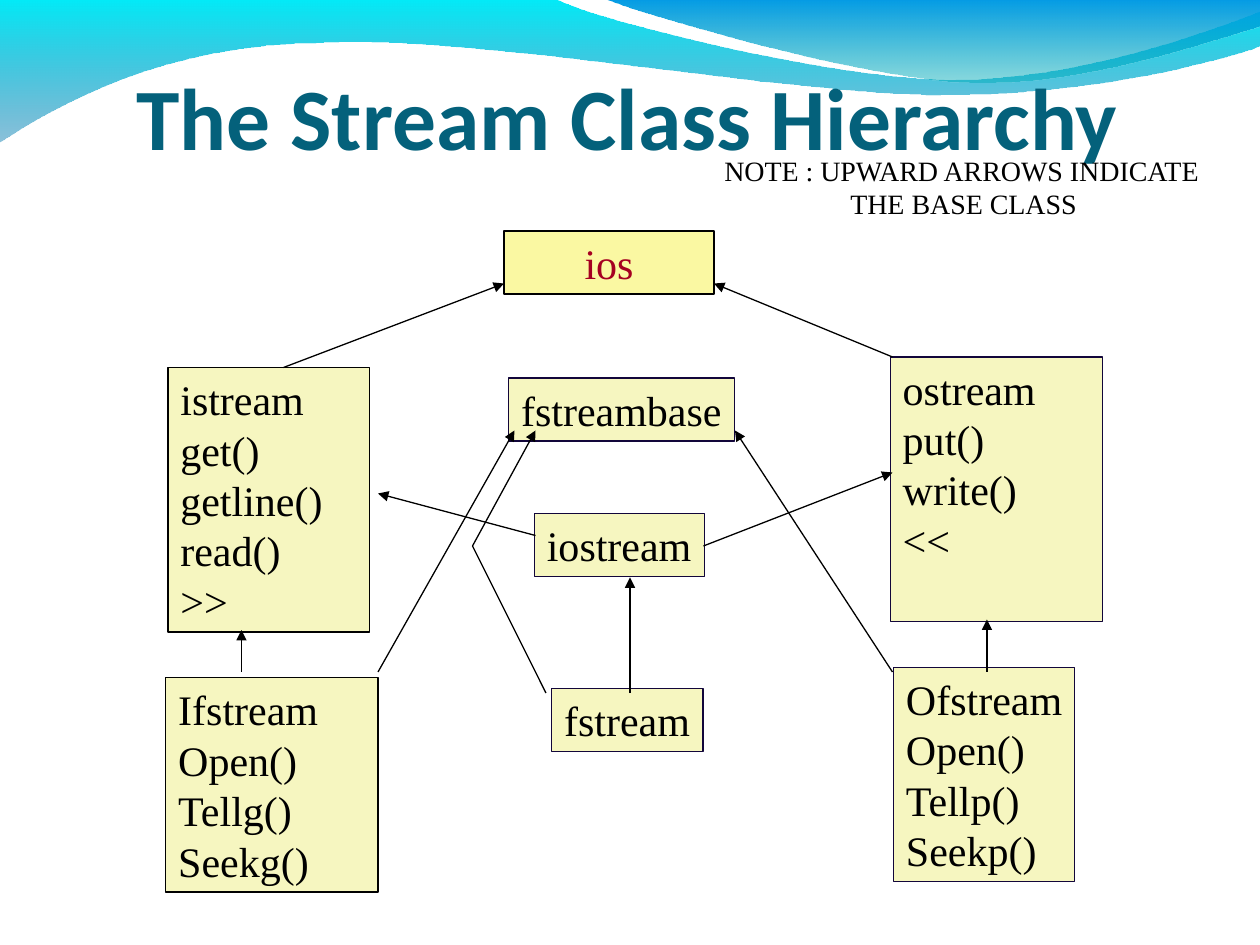
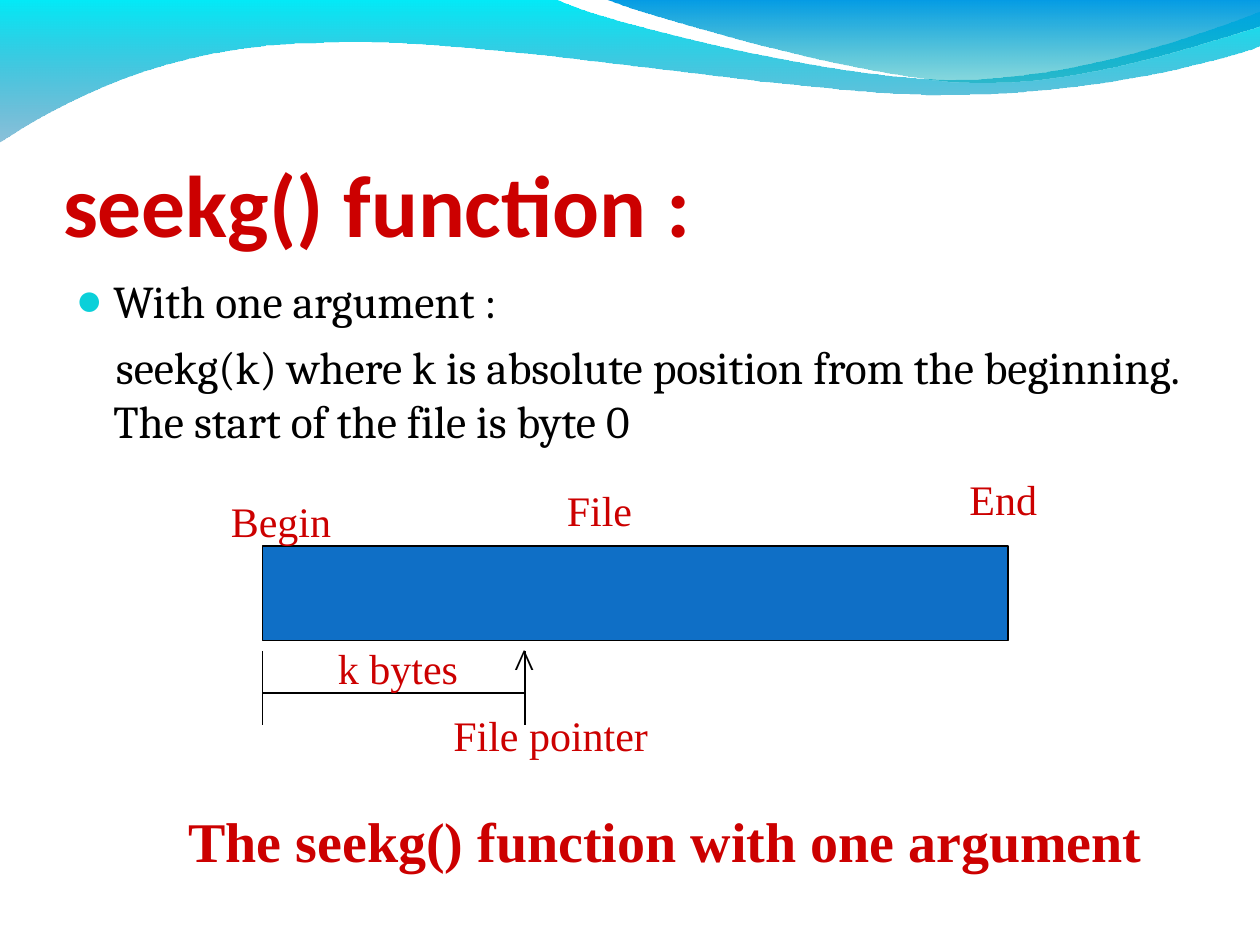
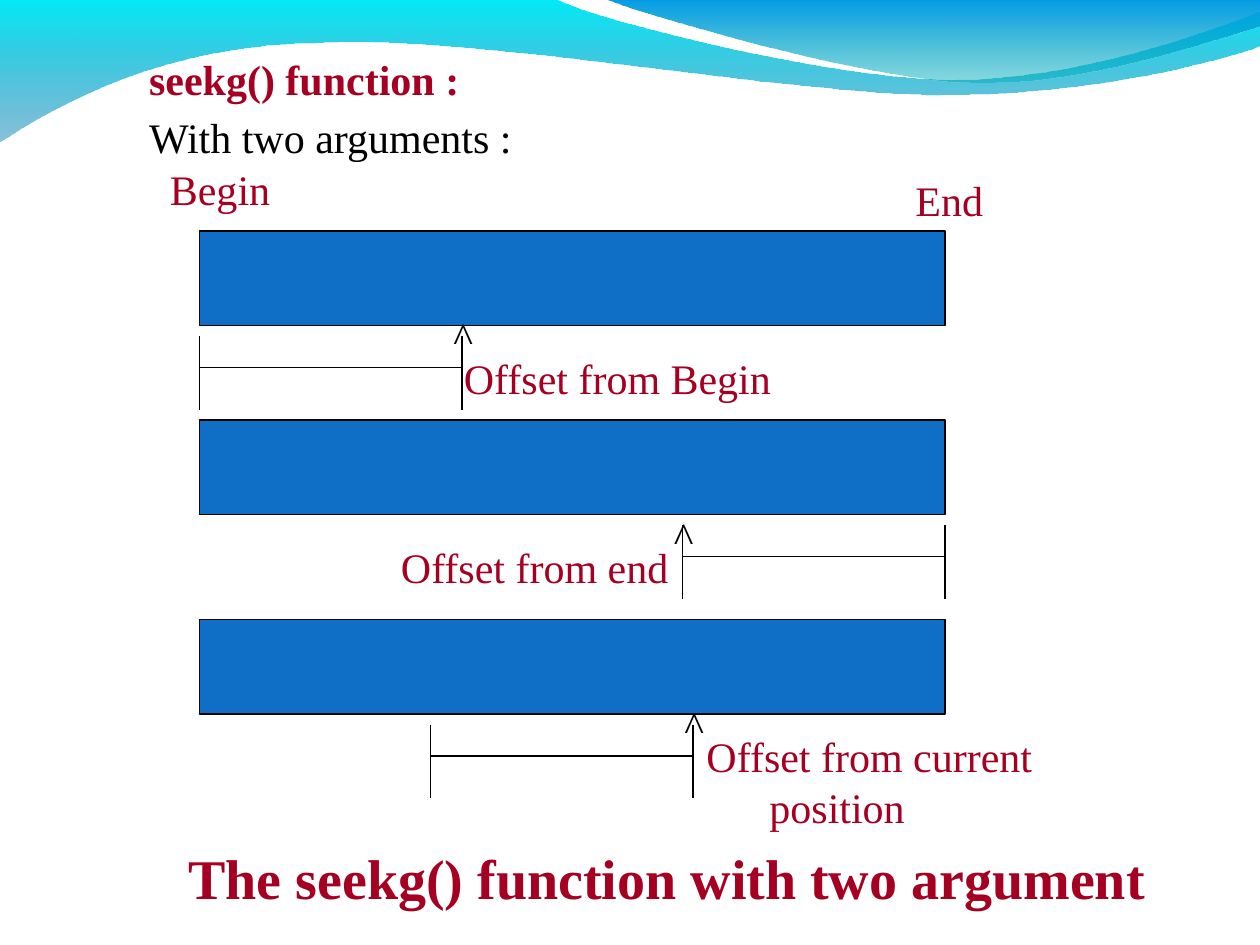
from dataclasses import dataclass, replace
from typing import NamedTuple, Optional, Sequence

from lxml.etree import SubElement
from pptx import Presentation
from pptx.dml.color import RGBColor
from pptx.enum.shapes import MSO_CONNECTOR as Link, MSO_SHAPE as Preset
from pptx.enum.text import MSO_ANCHOR as Anchor, MSO_AUTO_SIZE as AutoSize, PP_ALIGN as Align
from pptx.oxml.ns import qn
from pptx.util import Emu, Inches, Pt

# The slide is a grid of 120 columns by 90 rows of square cells
WIDTH, HEIGHT = Inches(10), Inches(7.5)
CELL = WIDTH / 120
INSET = Inches(0.1)


def cells(count: float) -> Emu:
    return Emu(round(count * CELL))


# Shared look
@dataclass(frozen=True)
class Style:
    size: float = 24
    color: str = "000000"
    bold: bool = False
    font: str = "Times New Roman"


@dataclass(frozen=True)
class Theme:
    ink: str = "000000"
    edge: str = "12063A"
    root_fill: str = "FAF8A2"
    class_fill: str = "F6F6C0"
    file_fill: str = "0F6FC6"
    bullet: str = "0BD0D9"
    red: str = "CC0000"
    crimson: str = "A50021"
    line_width: float = 0.75
    text: Style = Style()
    note: Style = Style(16)
    title: Style = Style(50, "04617B", True, "Calibri")
    body: Style = Style(26, font="Cambria")
    caption: Style = Style(32, bold=True)


THEME = Theme()


class Area(NamedTuple):
    left: float
    top: float
    width: float
    height: float

    def lengths(self) -> list[Emu]:
        return [cells(value) for value in self]


class Line(NamedTuple):
    text: str
    margin: float = 0
    indent: float = 0
    before: float = 0
    bullet: Optional[str] = None


class ClassBox(NamedTuple):
    left: float
    top: float
    width: float
    members: Sequence[str]
    edge: str = THEME.edge
    rows: int = 0


class Arrow(NamedTuple):
    x1: float
    y1: float
    x2: float
    y2: float
    head: bool = True


class Label(NamedTuple):
    left: float
    top: float
    width: float
    lines: Sequence[Line]


class Measure(NamedTuple):
    left: float
    top: float
    rule: float
    caret_left: float
    caret_top: float


class Wave(NamedTuple):
    """Points in thousandths of the slide width; three points make a curve."""
    start: tuple
    steps: tuple
    top_color: str
    low_color: str


WAVES = (
    Wave((0, -1), (
        ((440, -1),),
        ((476, 17), (664, 63), (758, 63)),
        ((853, 63), (958, 26), (1000, 9)),
        ((1001, 36),),
        ((983, 44), (870, 76), (746, 75)),
        ((622, 75), (382, 28), (257, 34)),
        ((129, 35), (46, 83), (-1, 113)),
    ), "00EBF8", "0079AF"),
    Wave((479, -1), (
        ((509, 11), (682, 62), (769, 65)),
        ((856, 69), (961, 32), (1000, 21)),
        ((1000, 0),),
    ), "009BE5", "00ADB6"),
)


# Text
def write(frame, lines: Sequence[Line], style: Style, align=Align.LEFT) -> None:
    for number, line in enumerate(lines):
        para = frame.paragraphs[0] if number == 0 else frame.add_paragraph()
        props = para._p.get_or_add_pPr()
        props.set("marL", str(Inches(line.margin)))
        props.set("indent", str(Inches(line.indent)))
        if line.bullet:
            SubElement(SubElement(props, qn("a:buClr")), qn("a:srgbClr"), val=THEME.bullet)
            SubElement(props, qn("a:buChar"), char=line.bullet)
        else:
            SubElement(props, qn("a:buNone"))
        para.alignment = align
        para.space_before = Pt(line.before)
        span = para.add_run()
        span.text = line.text
        span.font.name = style.font
        span.font.size = Pt(style.size)
        span.font.bold = style.bold
        span.font.color.rgb = RGBColor.from_string(style.color)


def set_frame(frame, anchor=Anchor.TOP, left=INSET, right=INSET, bottom=INSET // 2) -> None:
    frame.word_wrap = True
    frame.auto_size = AutoSize.NONE
    frame.vertical_anchor = anchor
    frame.margin_left, frame.margin_right = left, right
    frame.margin_top, frame.margin_bottom = INSET // 2, bottom


def fill_placeholder(box, area: Area, lines: Sequence[Line], style: Style,
                     anchor=Anchor.TOP) -> None:
    box.left, box.top, box.width, box.height = area.lengths()
    if anchor == Anchor.BOTTOM:
        set_frame(box.text_frame, anchor, 0, 0, 0)
    else:
        set_frame(box.text_frame, anchor)
    write(box.text_frame, lines, style)


def add_label(page, label: Label, style: Style) -> None:
    height = len(label.lines) * style.size / 5 + 1.2
    box = page.shapes.add_textbox(*Area(*label[:3], height).lengths())
    set_frame(box.text_frame, right=0)
    write(box.text_frame, label.lines, style)


# Shapes
def add_rectangle(page, area: Area, fill: str, edge: str = THEME.ink):
    box = page.shapes.add_shape(Preset.RECTANGLE, *area.lengths())
    box.shadow.inherit = False
    box.fill.solid()
    box.fill.fore_color.rgb = RGBColor.from_string(fill)
    box.line.color.rgb = RGBColor.from_string(edge)
    box.line.width = Pt(THEME.line_width)
    return box


def add_class_box(page, item: ClassBox) -> None:
    rows = item.rows or len(item.members)
    area = Area(item.left, item.top, item.width, 4.8 * rows + 1.2)
    box = add_rectangle(page, area, THEME.class_fill, item.edge)
    set_frame(box.text_frame, right=0)
    write(box.text_frame, [Line(member) for member in item.members], THEME.text)


def add_line(page, arrow: Arrow) -> None:
    ends = [cells(value) for value in arrow[:4]]
    link = page.shapes.add_connector(Link.STRAIGHT, *ends)
    link.line.color.rgb = RGBColor.from_string(THEME.ink)
    link.line.width = Pt(THEME.line_width)
    props = link._element.spPr
    if arrow.head:
        SubElement(props.find(qn("a:ln")), qn("a:tailEnd"), type="triangle")
    SubElement(props, qn("a:effectLst"))


def add_file_bar(page, left: float, top: float) -> None:
    add_rectangle(page, Area(left, top, 71, 9), THEME.file_fill)


def add_measure(page, item: Measure) -> None:
    right = item.left + 25
    add_line(page, Arrow(item.left, item.rule, right, item.rule, False))
    for tick in (item.left, right):
        add_line(page, Arrow(tick, item.top, tick, item.top + 7, False))
    add_label(page, Label(item.caret_left, item.caret_top, 4.2, [Line("^")]), THEME.text)


# Waves on the slide master
def bend(shape, steps: Sequence) -> None:
    """Turn each run of three segments that belongs to a curve into a Bezier."""
    segments = iter(list(shape._element.iter(qn("a:lnTo"))))
    for step in steps:
        first, *others = [next(segments) for _ in step]
        for other in others:
            first.append(other[0])
            other.getparent().remove(other)
        if others:
            first.tag = qn("a:cubicBezTo")


def add_waves(deck, page) -> None:
    for index, wave in enumerate(WAVES):
        builder = page.shapes.build_freeform(*wave.start, scale=WIDTH / 1000)
        builder.add_line_segments([point for step in wave.steps for point in step], close=True)
        shape = builder.convert_to_shape()
        bend(shape, wave.steps)
        shape.shadow.inherit = False
        shape.line.fill.background()
        shape.fill.gradient()
        shape.fill.gradient_angle = 270
        stops = shape.fill.gradient_stops
        for stop, color, place in zip(stops, (wave.top_color, wave.low_color), (0, 1)):
            stop.color.rgb = RGBColor.from_string(color)
            stop.position = place
        low = shape._element.spPr.findall(".//" + qn("a:srgbClr"))[-1]
        SubElement(low, qn("a:alpha"), val="45000")
        deck.slide_master.shapes._spTree.insert(2 + index, shape._element)


# Slides
def build_hierarchy(page) -> None:
    fill_placeholder(page.shapes.title, Area(13, -4.6, 102, 20.6),
                     [Line("The Stream Class Hierarchy")], THEME.title, Anchor.BOTTOM)
    root = add_rectangle(page, Area(48, 22, 20, 6), THEME.root_fill)
    set_frame(root.text_frame, Anchor.MIDDLE)
    write(root.text_frame, [Line("ios")], replace(THEME.text, color=THEME.crimson), Align.CENTER)

    for item in (
        ClassBox(16, 35, 19.2, ("istream", "get()", "getline()", "read()", ">>"), THEME.ink),
        ClassBox(84.8, 34, 20.2, ("ostream", "put()", "write()", "<<"), rows=5),
        ClassBox(48.45, 36, 21.5, ("fstreambase",)),
        ClassBox(50.9, 48.9, 16.2, ("iostream",)),
        ClassBox(15.8, 64.55, 20.2, ("Ifstream", "Open()", "Tellg()", "Seekg()"), THEME.ink),
        ClassBox(85.1, 63.55, 17.25, ("Ofstream", "Open()", "Tellp()", "Seekp()")),
        ClassBox(52.55, 65.55, 14.4, ("fstream",)),
    ):
        add_class_box(page, item)

    for arrow in (
        Arrow(27, 35, 48, 27), Arrow(85, 34, 68, 27),
        Arrow(23, 64, 23, 60), Arrow(94, 64, 94, 59), Arrow(60, 66, 60, 55),
        Arrow(36, 64, 49, 41), Arrow(85, 64, 70, 41),
        Arrow(51, 51, 36, 47), Arrow(67, 52, 85, 45),
        Arrow(52, 66, 45, 52, False), Arrow(45, 52, 51, 41),
    ):
        add_line(page, arrow)

    add_label(page, Label(67.8, 14, 48.4, [Line("NOTE : UPWARD ARROWS INDICATE"),
                                           Line("THE BASE CLASS", margin=1)]), THEME.note)


def build_one_argument(page) -> None:
    fill_placeholder(page.shapes.title, Area(6, 9.25, 108, 15), [Line("seekg() function :")],
                     replace(THEME.title, color=THEME.red), Anchor.BOTTOM)
    fill_placeholder(page.placeholders[1], Area(6, 25.4, 108, 57.6), [
        Line("With one argument :", 0.3, -0.3, bullet="●"),
        Line("seekg(k) where k is absolute position from the beginning. "
             "The start of the file is byte 0", 0.3, 0.02, before=6.5),
    ], THEME.body)

    add_file_bar(page, 25, 52)
    add_measure(page, Measure(25, 62, 66, 47.8, 60))
    for left, top, width, text in (
        (20.8, 46.6, 11.9, "Begin"),
        (52.8, 45.6, 8.6, "File"),
        (91.15, 44.55, 8.8, "End"),
        (31, 60.6, 13.8, "k bytes"),
        (42, 67, 20.9, "File pointer"),
    ):
        add_label(page, Label(left, top, width, [Line(text)]),
                  replace(THEME.text, color=THEME.red))
    add_label(page, Label(16.75, 76.25, 93.2, [Line("The seekg() function with one argument")]),
              replace(THEME.caption, color=THEME.red))


def build_two_arguments(page) -> None:
    crimson = replace(THEME.text, color=THEME.crimson)
    fill_placeholder(page.shapes.title, Area(13, 0, 102, 15), [Line("seekg() function :")],
                     replace(crimson, bold=True), Anchor.MIDDLE)
    fill_placeholder(page.placeholders[1], Area(13, 10, 102, 54),
                     [Line("With two arguments :")], THEME.text)

    for top in (22, 40, 59):
        add_file_bar(page, 19, top)
    for item in (Measure(19, 32, 35, 42, 29), Measure(65, 50, 53, 63, 48),
                 Measure(41, 69, 72, 64, 66)):
        add_measure(page, item)
    for label in (
        Label(15, 15, 11.9, [Line("Begin")]),
        Label(86, 16, 8.8, [Line("End")]),
        Label(43, 33, 31.7, [Line("Offset from Begin")]),
        Label(37, 51, 28, [Line("Offset from end")]),
        Label(66.1, 69, 33.5, [Line("Offset from current"), Line("position", margin=0.5)]),
    ):
        add_label(page, label, crimson)
    add_label(page, Label(16.75, 79.7, 93.6, [Line("The seekg() function with two argument")]),
              replace(THEME.caption, color=THEME.crimson))


def main() -> None:
    deck = Presentation()
    deck.slide_width, deck.slide_height = WIDTH, HEIGHT
    content, title_only = deck.slide_layouts[1], deck.slide_layouts[5]
    first = deck.slides.add_slide(title_only)
    add_waves(deck, first)
    build_hierarchy(first)
    build_one_argument(deck.slides.add_slide(content))
    build_two_arguments(deck.slides.add_slide(content))
    deck.save("out.pptx")


if __name__ == "__main__":
    main()
